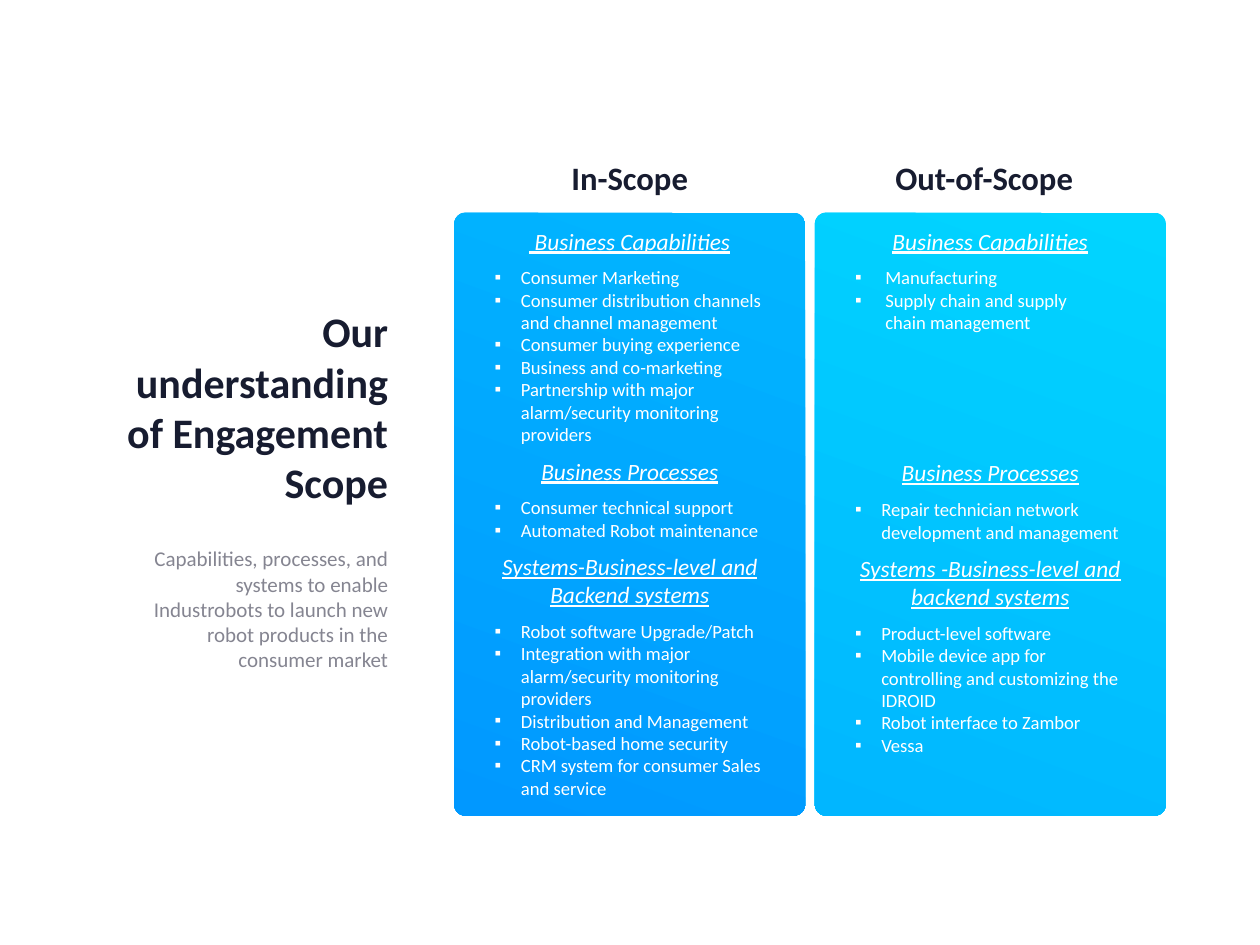
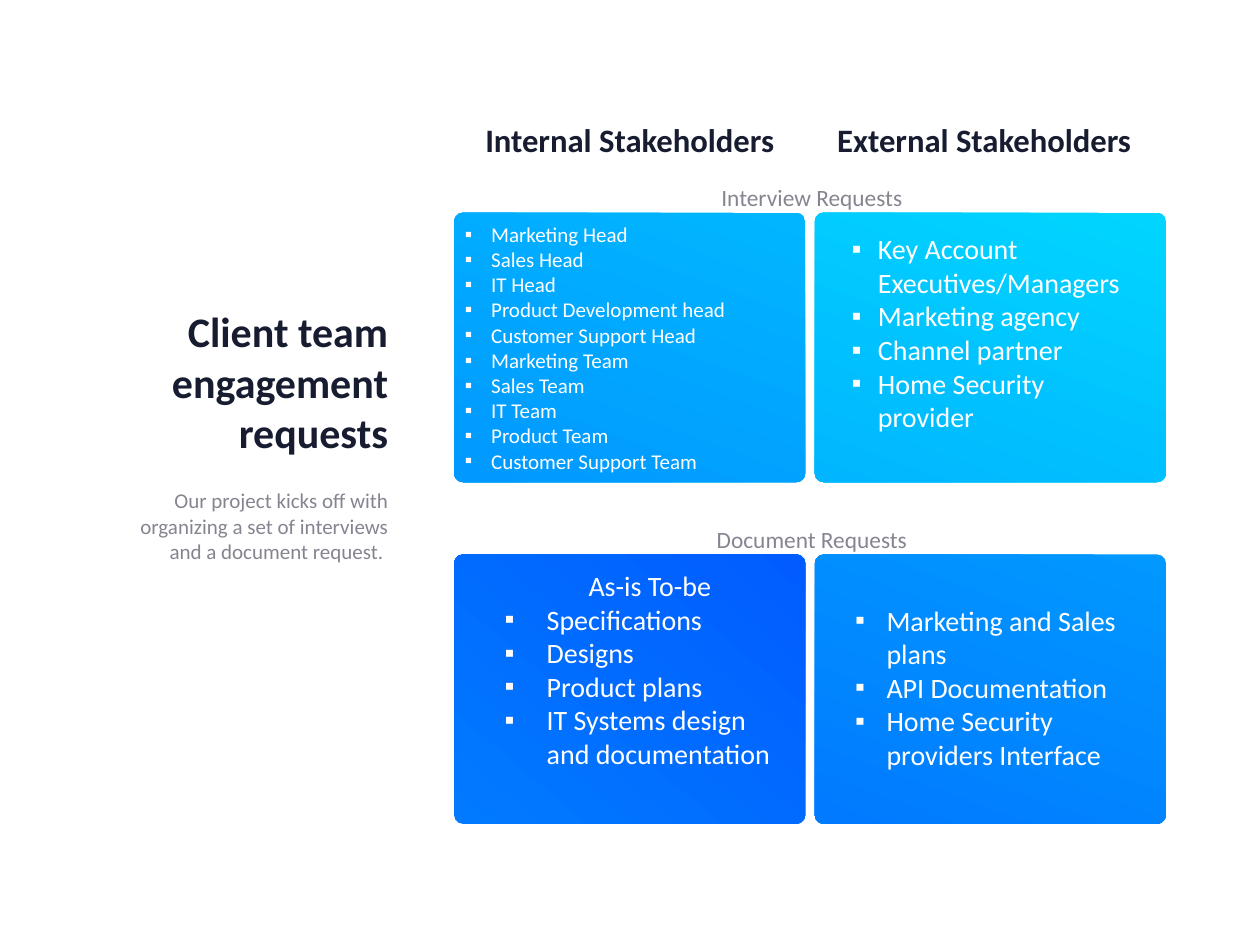
from lxml.etree import SubElement
from pptx import Presentation
from pptx.dml.color import RGBColor
from pptx.enum.shapes import MSO_SHAPE as Shape
from pptx.enum.text import MSO_ANCHOR as Anchor, MSO_AUTO_SIZE as AutoSize, PP_ALIGN as Align
from pptx.oxml.ns import qn
from pptx.util import Pt

COLORS = {
    "ink": "171C30", "muted": "858591", "white": "FFFFFF",
    "cyan": "01D5FF", "sky": "01B6FF", "azure": "0198FF", "blue": "017AFF", "royal": "015CFF",
}

STYLES = {
    "title": {"size": Pt(36), "color": "ink", "bold": True},
    "subtitle": {"size": Pt(18), "color": "muted"},
    "column": {"size": Pt(28), "color": "ink", "bold": True},
    "request": {"size": Pt(20), "color": "muted"},
    "section": {"size": Pt(20), "color": "white", "italic": True, "underline": True},
    "scope": {"size": Pt(16), "color": "white"},
    "people": {"size": Pt(18), "color": "white"},
    "needs": {"size": Pt(24), "color": "white"},
}

# Section: heading, space before, hanging indent, items. "|" starts an unbulleted line.
IN_SCOPE = [
    (" Business Capabilities", 0, 22.5, [
        "Consumer Marketing",
        "Consumer distribution channels and channel management",
        "Consumer buying experience",
        "Business and co-marketing",
        "Partnership with major alarm/security monitoring providers",
    ]),
    ("Business Processes", 9.8, 22.5, [
        "Consumer technical support",
        "Automated Robot maintenance",
    ]),
    ("Systems-Business-level and Backend systems", 9.8, 22.5, [
        "Robot software Upgrade/Patch",
        "Integration with major alarm/security monitoring providers",
        "Distribution and Management",
        "Robot-based home security",
        "CRM system for consumer Sales and service",
    ]),
]
OUT_OF_SCOPE = [
    ("Business Capabilities", 0, 26, [
        "Manufacturing",
        "Supply chain and supply|chain management",
    ]),
    ("Business Processes", 107.4, 22.5, [
        "Repair technician network development and management",
    ]),
    ("Systems -Business-level and backend systems", 9.8, 22.5, [
        "Product-level software",
        "Mobile device app for controlling and customizing the IDROID",
        "Robot interface to Zambor",
        "Vessa",
    ]),
]
INTERNAL_PEOPLE = [(None, 0, 22.5, [
    "Marketing Head", "Sales Head", "IT Head", "Product Development head",
    "Customer Support Head", "Marketing Team", "Sales Team", "IT Team",
    "Product Team", "Customer Support Team",
])]
EXTERNAL_PEOPLE = [(None, 0, 22.5, [
    "Key Account|Executives/Managers", "Marketing agency", "Channel partner",
    "Home Security provider",
])]
INTERNAL_DOCUMENTS = [(None, 0, 36, [
    "Specifications", "Designs", "Product plans", "IT Systems design and documentation",
])]
EXTERNAL_DOCUMENTS = [(None, 0, 27, [
    "Marketing and Sales plans", "API Documentation", "Home Security providers Interface",
])]

# Card: row, column, gradient, angle, style, text box or None, lead line, sections
SLIDES = [
    {
        "title": ("Our understanding of Engagement Scope", 268, 181),
        "subtitle": ("Capabilities, processes, and systems to enable Industrobots to launch "
                     "new robot products in the consumer market", 464.4, 117),
        "columns": (131.8, ["In-Scope", "Out-of-Scope"]),
        "requests": [],
        "card_height": 517,
        "cards": [
            (0, 1, ("cyan", "sky"), 250, "scope", (725.8, 190.8, 246, 463), None, OUT_OF_SCOPE),
            (0, 0, ("sky", "azure"), 250, "scope", (416.9, 190.8, 246, 521), None, IN_SCOPE),
        ],
    },
    {
        "title": ("Client team engagement requests", 247, 138),
        "subtitle": ("Our project kicks off with organizing a set of interviews and a "
                     "document request. ", 414.7, 73),
        "columns": (99.4, ["Internal Stakeholders", "External Stakeholders"]),
        "requests": ["Interview Requests", "Document Requests"],
        "card_height": 231,
        "cards": [
            (1, 0, ("blue", "royal"), 50, "needs", (425.5, 483.8, 252, 181),
             "As-is To-be", INTERNAL_DOCUMENTS),
            (1, 1, ("azure", "blue"), 250, "needs", (725.8, 513.4, 252, 153),
             None, EXTERNAL_DOCUMENTS),
            (0, 1, ("cyan", "sky"), 250, "needs", (722.9, 195.1, 252, 181),
             None, EXTERNAL_PEOPLE),
            (0, 0, ("sky", "azure"), 250, "people", None, None, INTERNAL_PEOPLE),
        ],
    },
]

TITLE_TOP, TITLE_RIGHT, SUBTITLE_WIDTH = 258.5, 339.8, 232
CARD_LEFTS, CARD_TOPS, CARD_WIDTH = (389.2, 698.4), (182.2, 475.2), 301
COLUMN_LEFTS, COLUMN_WIDTH = (405.4, 709.2), 268.6
REQUEST_LEFT, REQUEST_WIDTH, REQUEST_RISE = 414, 563.8, 28.5
SECTION_GAP = 9.8


def rgb(name):
    return RGBColor.from_string(COLORS[name])


def write(frame, text, style, align=Align.LEFT, before=0, after=0, indent=0, bullet=False):
    first = frame.paragraphs[0]
    paragraph = first if not first.runs else frame.add_paragraph()
    layout = {"alignment": align, "space_before": Pt(before), "space_after": Pt(after)}
    for key, value in layout.items():
        setattr(paragraph, key, value)
    run = paragraph.add_run()
    run.text = text
    run.font.name = "Calibri"
    for key, value in STYLES[style].items():
        if key == "color":
            run.font.color.rgb = rgb(value)
        else:
            setattr(run.font, key, value)
    if indent:
        properties = paragraph._p.get_or_add_pPr()
        properties.set("marL", str(Pt(indent)))
        if bullet:
            properties.set("indent", str(-Pt(indent)))
            SubElement(properties, qn("a:buFont"), typeface="Arial")
            SubElement(properties, qn("a:buChar"), char="▪")


def text_frame(slide, left, top, width, height):
    frame = slide.shapes.add_textbox(Pt(left), Pt(top), Pt(width), Pt(height)).text_frame
    frame.word_wrap = True
    frame.auto_size = AutoSize.SHAPE_TO_FIT_TEXT
    return frame


def write_sections(frame, sections, style):
    for heading, before, indent, items in sections:
        if heading:
            write(frame, heading, "section", Align.CENTER, before, SECTION_GAP)
        for item in items:
            for number, line in enumerate(item.split("|")):
                write(frame, line, style, indent=indent, bullet=number == 0)


def add_card(slide, height, row, column, gradient, angle, style, text_box, lead, sections):
    card = slide.shapes.add_shape(Shape.ROUNDED_RECTANGLE, Pt(CARD_LEFTS[column]),
                                  Pt(CARD_TOPS[row]), Pt(CARD_WIDTH), Pt(height))
    card.adjustments[0] = 0.033 * CARD_WIDTH / min(CARD_WIDTH, height) if height > CARD_WIDTH else 0.033
    card.shadow.inherit = False
    card.line.fill.background()
    card.fill.gradient()
    card.fill.gradient_angle = angle
    for stop, color in zip(card.fill.gradient_stops, gradient):
        stop.color.rgb = rgb(color)
    if text_box:
        frame = text_frame(slide, *text_box)
    else:
        frame = card.text_frame
        frame.word_wrap = True
        frame.vertical_anchor = Anchor.MIDDLE
    if lead:
        write(frame, lead, style, Align.CENTER, indent=11)
    write_sections(frame, sections, style)


def add_slide(deck, content):
    slide = deck.slides.add_slide(deck.slide_layouts[6])
    title, width, height = content["title"]
    write(text_frame(slide, TITLE_RIGHT - width, TITLE_TOP, width, height),
          title, "title", Align.RIGHT)
    subtitle, top, height = content["subtitle"]
    write(text_frame(slide, TITLE_RIGHT - SUBTITLE_WIDTH, top, SUBTITLE_WIDTH, height),
          subtitle, "subtitle", Align.RIGHT)
    for card in content["cards"]:
        add_card(slide, content["card_height"], *card)
    top, names = content["columns"]
    for left, name in zip(COLUMN_LEFTS, names):
        write(text_frame(slide, left, top, COLUMN_WIDTH, 41), name, "column", Align.CENTER)
    for top, request in zip(CARD_TOPS, content["requests"]):
        write(text_frame(slide, REQUEST_LEFT, top - REQUEST_RISE, REQUEST_WIDTH, 31.7),
              request, "request", Align.CENTER)


def main():
    deck = Presentation()
    deck.slide_width, deck.slide_height = Pt(1080), Pt(810)
    for content in SLIDES:
        add_slide(deck, content)
    deck.save("out.pptx")


if __name__ == "__main__":
    main()
